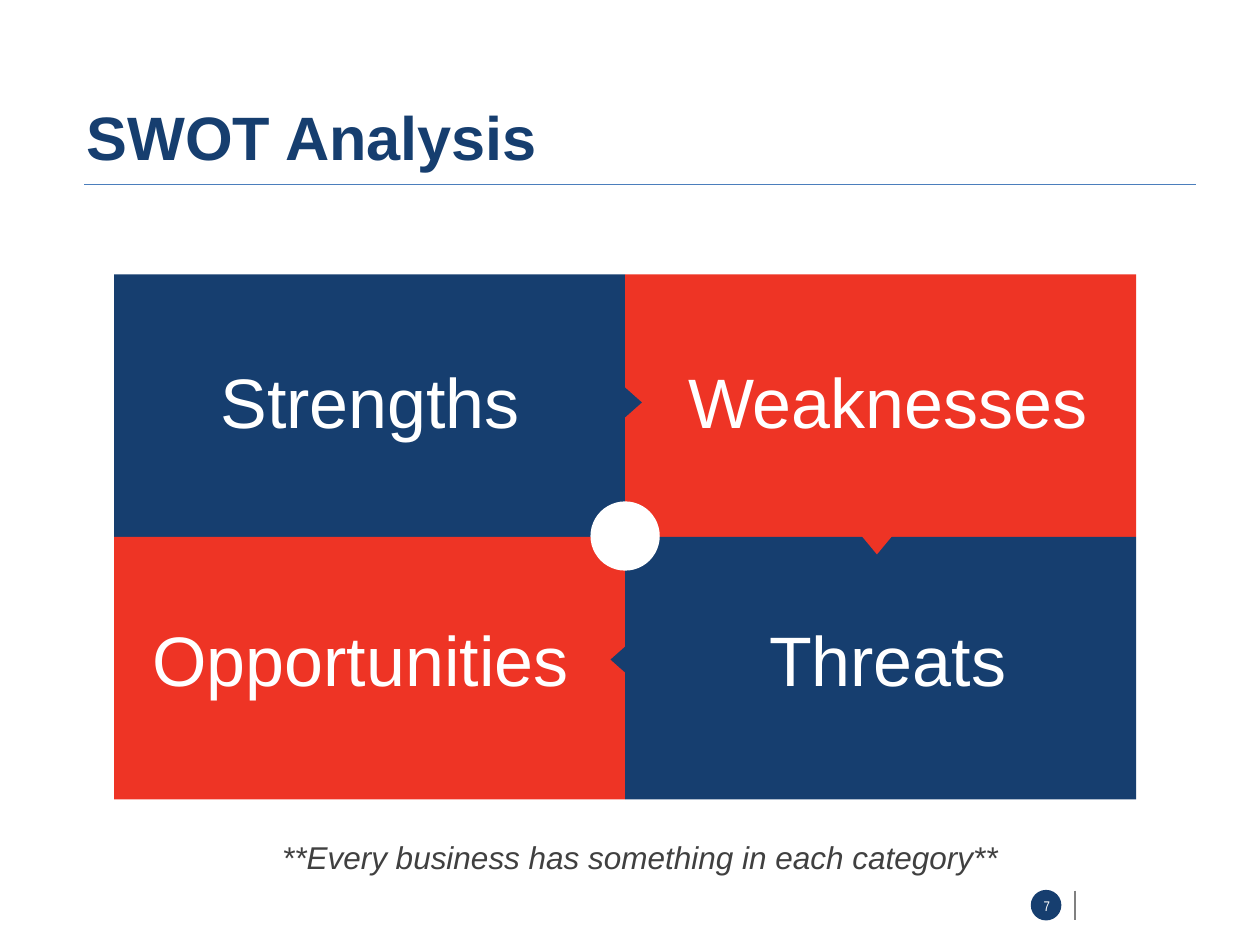
"""Build a SWOT analysis slide with four coloured quadrants."""
from pptx import Presentation
from pptx.dml.color import RGBColor
from pptx.enum.shapes import MSO_CONNECTOR, MSO_SHAPE
from pptx.enum.text import PP_ALIGN
from pptx.oxml.ns import qn
from pptx.util import Pt
from lxml.etree import SubElement


def color(value):
    return RGBColor.from_string(value)


def add_text(text, left, top, width, height, size, fill, font="Arial", bold=False, italic=False,
             align=PP_ALIGN.CENTER, spacing=None, wrap=True):
    box = page.shapes.add_textbox(Pt(left), Pt(top), Pt(width), Pt(height))
    box.text_frame.word_wrap = wrap
    para = box.text_frame.paragraphs[0]
    para.alignment = align
    para.line_spacing = spacing
    span = para.add_run()
    span.text = text
    span.font.name = font
    span.font.size = Pt(size)
    span.font.bold = bold
    span.font.italic = italic
    span.font.color.rgb = color(fill)


NAVY, RED, WHITE = "163E6F", "EE3425", "FFFFFF"
LEFT, TOP, CELL_WIDTH, CELL_HEIGHT = 65.2, 156.8, 292, 150

deck = Presentation()
deck.slide_width, deck.slide_height = Pt(720), Pt(540)
page = deck.slides.add_slide(deck.slide_layouts[6])

shapes = [(MSO_SHAPE.OVAL, 589, 508.5, 17.5, 17.5, 0, NAVY)]
for index, fill in enumerate([NAVY, RED, RED, NAVY]):
    row, column = divmod(index, 2)
    shapes.append((MSO_SHAPE.RECTANGLE, LEFT + column * CELL_WIDTH, TOP + row * CELL_HEIGHT,
                   CELL_WIDTH, CELL_HEIGHT, 0, fill))
shapes += [
    (MSO_SHAPE.ISOSCELES_TRIANGLE, 490.3, 303.8, 21.6, 13, 180, RED),
    (MSO_SHAPE.ISOSCELES_TRIANGLE, 344.2, 370.8, 21.6, 12.2, 270, NAVY),
    (MSO_SHAPE.ISOSCELES_TRIANGLE, 349.9, 223.9, 21.6, 12.2, 90, NAVY),
    (MSO_SHAPE.OVAL, 337.4, 286.5, 39.6, 39.6, 0, WHITE),
]
for kind, left, top, width, height, rotation, fill in shapes:
    shape = page.shapes.add_shape(kind, Pt(left), Pt(top), Pt(width), Pt(height))
    shape.shadow.inherit = False
    shape.rotation = rotation
    shape.fill.solid()
    shape.fill.fore_color.rgb = color(fill)
    shape.line.fill.background()

lines = [(614.2, 509, 614.2, 525.6, "808080", 1), (48.2, 105.5, 683.3, 105.5, "4B7EBC", 0.75)]
for start_x, start_y, end_x, end_y, fill, weight in lines:
    line = page.shapes.add_connector(MSO_CONNECTOR.STRAIGHT, Pt(start_x), Pt(start_y), Pt(end_x), Pt(end_y))
    line.line.color.rgb = color(fill)
    line.line.width = Pt(weight)
    SubElement(line._element.spPr, qn("a:effectLst"))

labels = [("Strengths", 211.5, 201.6, 195), ("Weaknesses", 507.2, 201.6, 250),
          ("Opportunities", 206, 348.5, 270), ("Threats", 507.2, 348.5, 155)]
for label, center, top, width in labels:
    add_text(label, center - width / 2, top, width, 55.4, size=40, fill=WHITE, wrap=False)

add_text("SWOT Analysis", 42.5, 53, 677.5, 69.5, size=35, fill=NAVY, bold=True, align=PP_ALIGN.LEFT)
add_text("**Every business has something in each category**", 59.8, 468.7, 612, 51,
         size=18, fill="404040", italic=True, spacing=1.3)
add_text("7", 586, 512, 24.5, 18, size=8, fill=WHITE, font="Arial Narrow", spacing=0.7)

deck.save("out.pptx")
